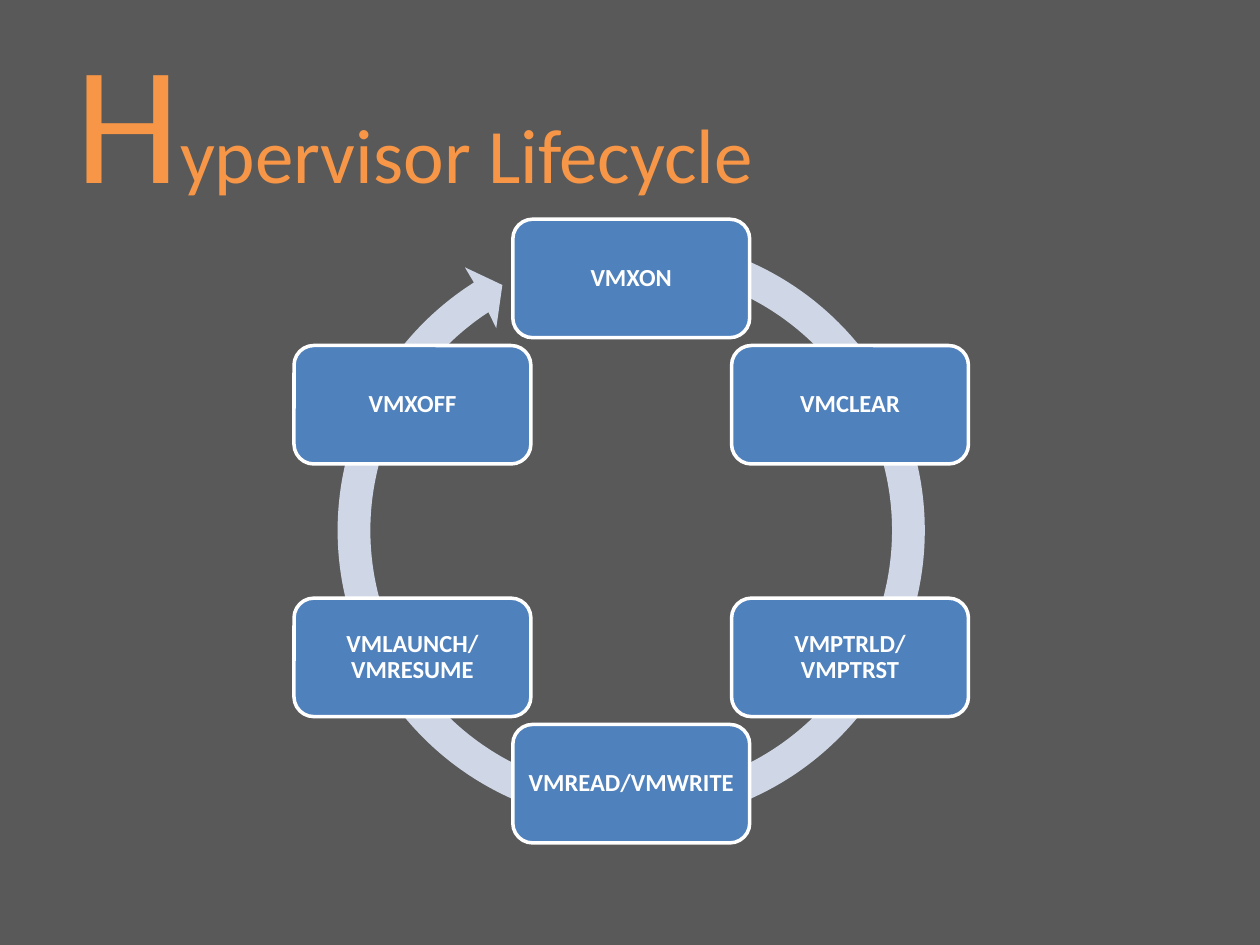
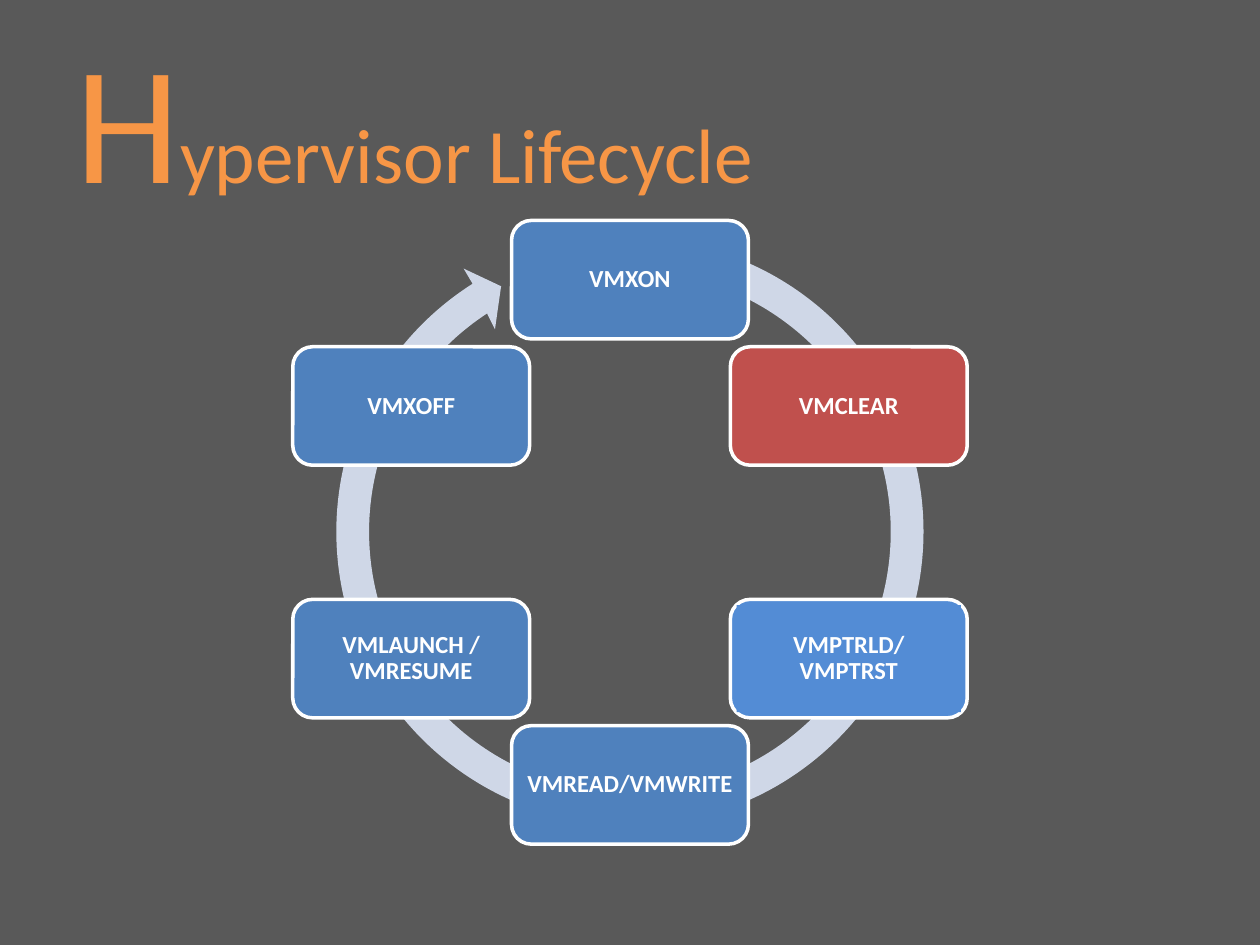
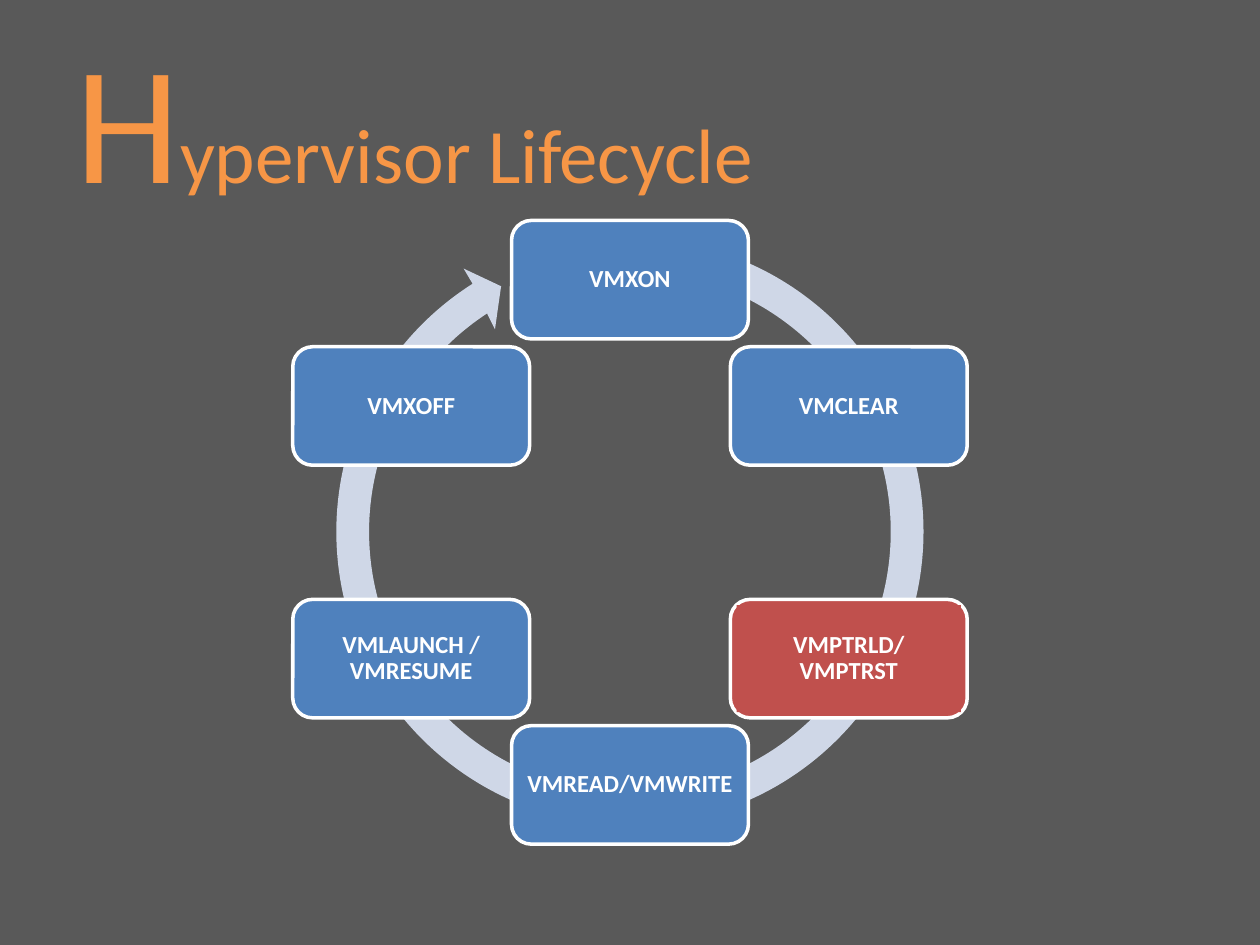
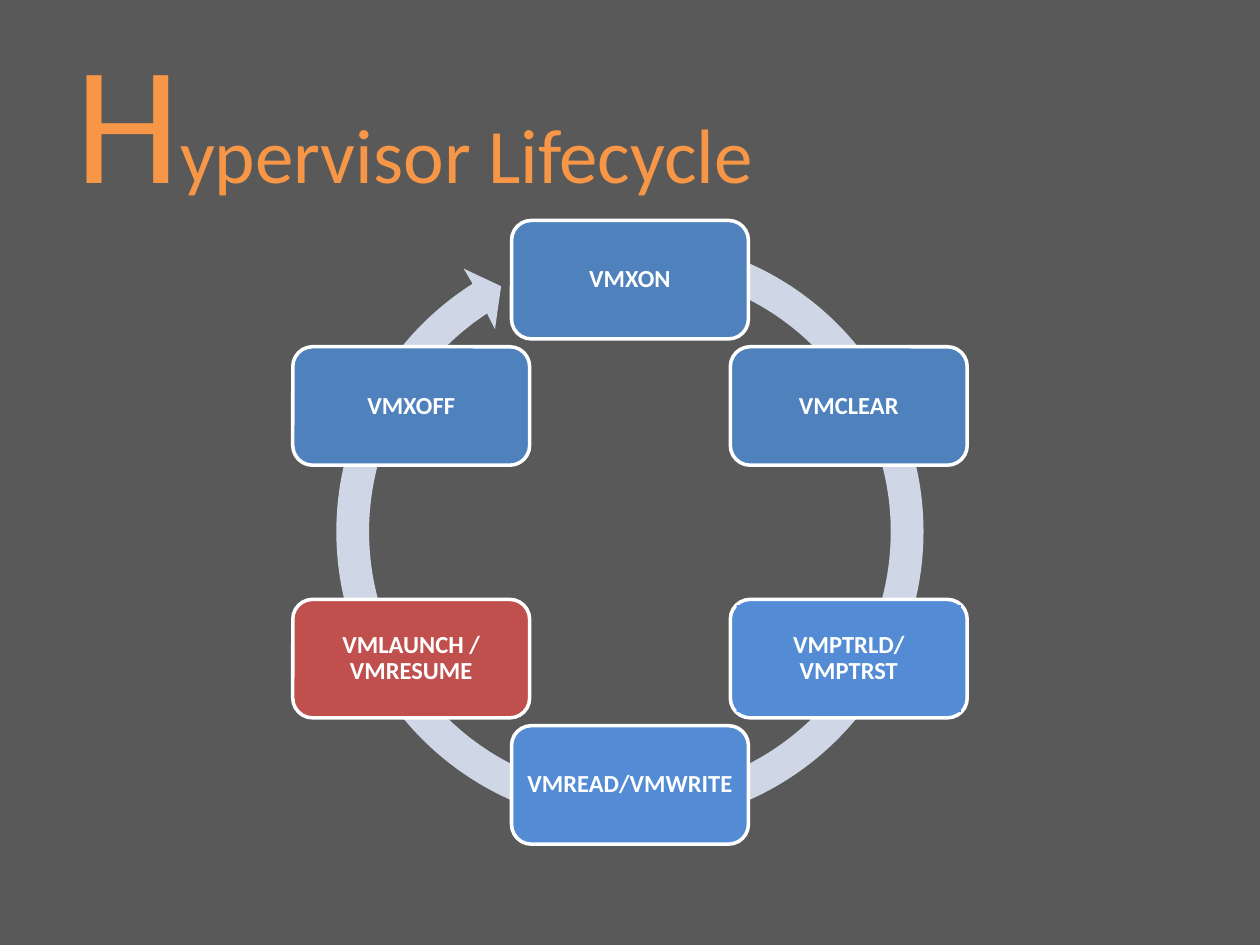
from math import cos, radians, sin, tan

from lxml.etree import SubElement
from pptx import Presentation
from pptx.dml.color import RGBColor
from pptx.enum.shapes import MSO_SHAPE
from pptx.enum.text import MSO_ANCHOR, PP_ALIGN
from pptx.oxml.ns import qn
from pptx.util import Inches, Pt

ROUND = MSO_SHAPE.ROUNDED_RECTANGLE
RECT = MSO_SHAPE.RECTANGLE
MIDDLE = MSO_ANCHOR.MIDDLE
CENTER = PP_ALIGN.CENTER
LEFT = PP_ALIGN.LEFT

FONT = "Calibri"
COLORS = {
    "back": "595959",
    "title": "F79646",
    "ring": "CFD7E7",
    "node": "4F81BD",
    "bright": "538CD5",
    "active": "C0504D",
    "white": "FFFFFF",
}
TITLE_BOX = (Inches(0.5), Inches(0.3), Inches(9), Inches(1.25))
CYCLE_W, CYCLE_H = Inches(5.34), Inches(4.95)
NODE_W, NODE_H = Inches(1.88), Inches(0.94)
LABEL_W, LABEL_H = Inches(1.78), Inches(0.85)
RING = Inches(4.94)
OUTER, INNER = Inches(2.33), Inches(2.07)
START, OUT_END, IN_END = 15.4, 327.6, 326.8
HEAD = [(Inches(2.47), 327.7), (Inches(2.2), 332.3), (Inches(1.93), 326.3)]
PARTS = 4


def color(name):
    return RGBColor.from_string(COLORS[name])


def paint(shape, name):
    shape.fill.solid()
    shape.fill.fore_color.rgb = color(name)


def apply(target, style):
    for key, value in style.items():
        setattr(target, key, value)


def write(shape, lines, pad, para, bold=False):
    frame = shape.text_frame
    apply(frame, {
        "word_wrap": True, "vertical_anchor": MIDDLE,
        "margin_left": pad[0], "margin_right": pad[0],
        "margin_top": pad[1], "margin_bottom": pad[1],
    })
    for index, runs in enumerate(lines):
        part = frame.add_paragraph() if index else frame.paragraphs[0]
        apply(part, para)
        for text, size, tint in runs:
            run = part.add_run()
            run.text = text
            apply(run.font, {"name": FONT, "size": Pt(size), "bold": bold})
            run.font.color.rgb = color(tint)


def add_title(slide, box):
    runs = [("H", 96, "title"), ("ypervisor Lifecycle", 44, "title")]
    pad = (Inches(0.1), Inches(0.05))
    write(slide.shapes.add_textbox(*box), [runs], pad, {"alignment": LEFT})


def polar(mid, radius, angle):
    turn = radians(angle)
    return mid[0] + radius * sin(turn), mid[1] - radius * cos(turn)


def draw(outline, kind, points):
    step = SubElement(outline, qn("a:" + kind))
    for x, y in points:
        SubElement(step, qn("a:pt"), x=str(round(x)), y=str(round(y)))


def arc(outline, mid, radius, first, last):
    sweep = (last - first) / PARTS
    pull = 4 / 3 * tan(radians(sweep) / 4)
    for index in range(PARTS):
        here = first + sweep * index
        after = here + sweep
        x, y = polar(mid, radius, here)
        dx, dy = polar((0, 0), radius * pull, here + 90)
        end_x, end_y = polar(mid, radius, after)
        end_dx, end_dy = polar((0, 0), radius * pull, after + 90)
        draw(outline, "cubicBezTo", [
            (x + dx, y + dy), (end_x - end_dx, end_y - end_dy), (end_x, end_y)])


def add_ring(shapes, left, top, size):
    right, bottom = left + size, top + size
    frame = shapes.build_freeform(left, top, scale=1.0)
    frame.add_line_segments([(right, top), (right, bottom), (left, bottom)])
    ring = frame.convert_to_shape()
    ring.shadow.inherit = False
    paint(ring, "ring")
    ring.line.fill.background()
    outline = next(ring.element.iter(qn("a:path")))
    for step in list(outline):
        outline.remove(step)
    mid = (size / 2, size / 2)
    draw(outline, "moveTo", [polar(mid, OUTER, START)])
    arc(outline, mid, OUTER, START, OUT_END)
    for radius, angle in HEAD + [(INNER, IN_END)]:
        draw(outline, "lnTo", [polar(mid, radius, angle)])
    arc(outline, mid, INNER, IN_END, START)
    draw(outline, "close", [])


def add_node(shapes, box, text, tint, plate):
    left, top, width, height = box
    node = shapes.add_shape(ROUND, *box)
    node.shadow.inherit = False
    node.adjustments[0] = 0.167
    paint(node, tint)
    node.line.color.rgb = color("white")
    node.line.width = Pt(2)
    spot = (left + (width - LABEL_W) // 2, top + (height - LABEL_H) // 2,
            LABEL_W, LABEL_H)
    if plate:
        label = shapes.add_shape(RECT, *spot)
        label.shadow.inherit = False
        paint(label, tint)
        label.line.fill.background()
    else:
        label = shapes.add_textbox(*spot)
    lines = [[(line, 14, "white")] for line in text.split("\n")]
    para = {"alignment": CENTER, "line_spacing": 0.9}
    write(label, lines, (Inches(0.06), Inches(0.06)), para, True)


def add_cycle(slide, box, steps, tints, plates):
    left, top, width, height = box
    mid = (left + width / 2, top + height / 2)
    radius = (height - NODE_H) / 2
    shapes = slide.shapes.add_group_shape().shapes
    add_ring(shapes, left + (width - RING) // 2, top, RING)
    for index, text in enumerate(steps):
        x, y = polar(mid, radius, index * 360 / len(steps))
        place = (round(x - NODE_W / 2), round(y - NODE_H / 2), NODE_W, NODE_H)
        add_node(shapes, place, text, tints.get(text, "node"), text in plates)


def add_slide(deck, box, steps, tints, plates):
    slide = deck.slides.add_slide(deck.slide_layouts[6])
    paint(slide.background, "back")
    add_title(slide, TITLE_BOX)
    add_cycle(slide, box, steps, tints, plates)


CLEAR, LOAD, READ, LAUNCH = (
    "VMCLEAR", "VMPTRLD/ VMPTRST", "VMREAD/VMWRITE", "VMLAUNCH / VMRESUME")
STEPS = ["VMXON", CLEAR, LOAD, READ, LAUNCH, "VMXOFF"]
INTRO = ["VMXON", CLEAR, "VMPTRLD/\nVMPTRST", READ,
         "VMLAUNCH/\nVMRESUME", "VMXOFF"]
FIRST = (Inches(2.34), Inches(1.74), CYCLE_W, CYCLE_H)
LATER = (Inches(2.33), Inches(1.75), CYCLE_W, CYCLE_H)
STAGES = [
    {CLEAR: "active", LOAD: "bright"},
    {LOAD: "active"},
    {LOAD: "bright", READ: "bright", LAUNCH: "active"},
]

deck = Presentation()
deck.slide_width, deck.slide_height = Inches(10), Inches(7.5)
add_slide(deck, FIRST, INTRO, {}, [])
for tints in STAGES:
    add_slide(deck, LATER, STEPS, tints, [LOAD])
deck.save("out.pptx")
